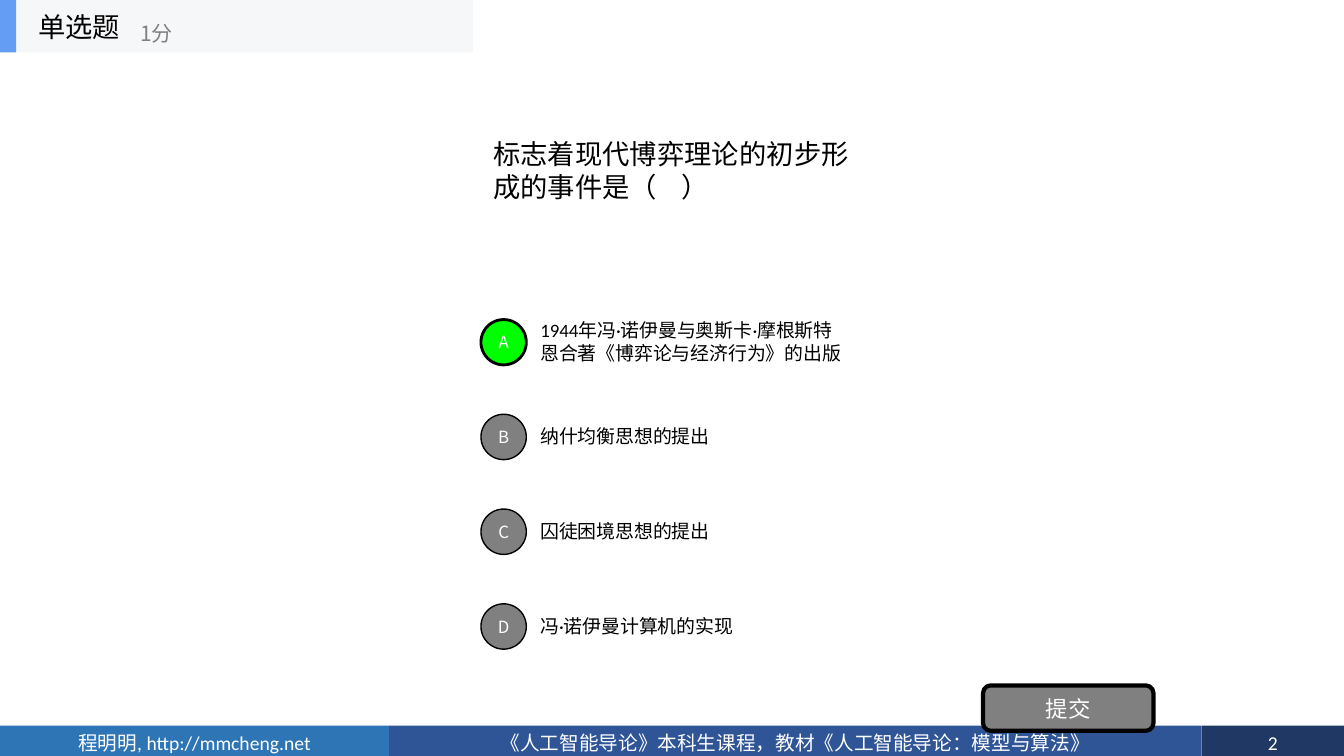
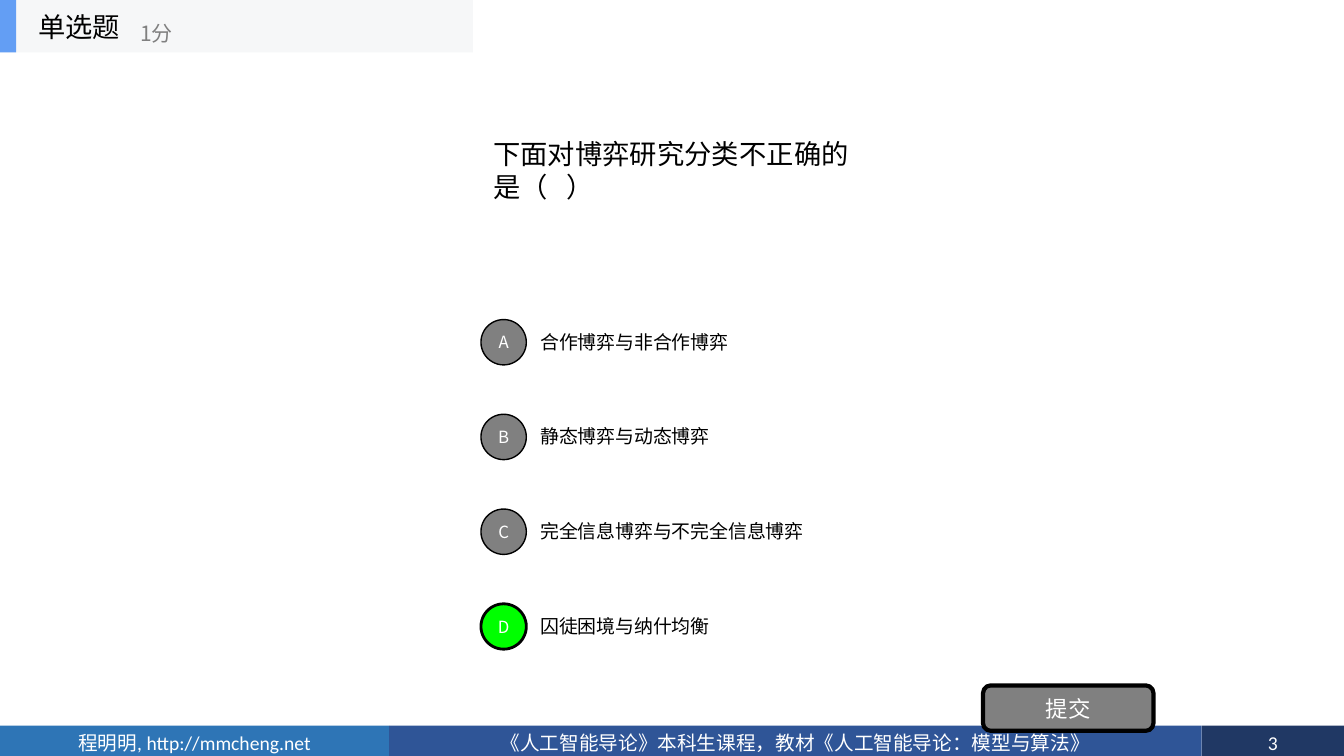
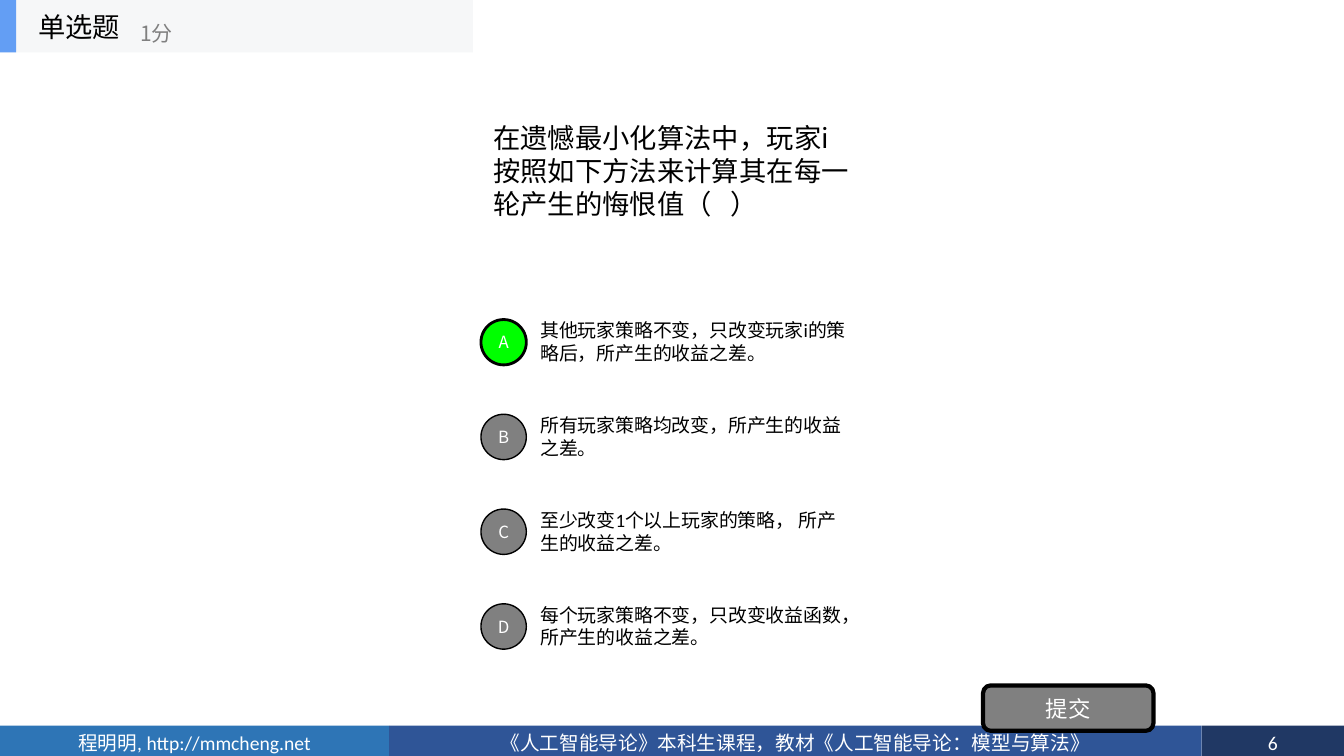
from dataclasses import dataclass

from lxml import etree
from pptx import Presentation
from pptx.dml.color import RGBColor
from pptx.enum.shapes import MSO_SHAPE
from pptx.enum.text import MSO_ANCHOR, MSO_AUTO_SIZE, PP_ALIGN
from pptx.oxml.ns import qn
from pptx.util import Inches, Pt

RECTANGLE = MSO_SHAPE.RECTANGLE
ROUNDED = MSO_SHAPE.ROUNDED_RECTANGLE
OVAL = MSO_SHAPE.OVAL
LEFT, CENTER = PP_ALIGN.LEFT, PP_ALIGN.CENTER
TOP, MIDDLE = MSO_ANCHOR.TOP, MSO_ANCHOR.MIDDLE
NO_AUTOFIT = MSO_AUTO_SIZE.NONE
TITLE_ONLY = 5


@dataclass(frozen=True)
class Theme:
    # Colours
    black: str = "000000"
    white: str = "FFFFFF"
    gray: str = "808080"
    correct: str = "00FF00"
    header: str = "F6F7F8"
    header_accent: str = "639EF4"
    footer_author: str = "2E75B6"
    footer_course: str = "2F5597"
    footer_number: str = "203864"
    # Fonts and type sizes
    latin: str = "Calibri"
    chinese: str = "Noto Sans CJK SC"
    title_size: float = 19.5
    score_size: float = 15
    option_size: float = 13.5
    letter_size: float = 12
    button_size: float = 16
    footer_size: float = 14


THEME = Theme()

# Question, options, letter of the right option, page number
QUESTIONS = [
    ("标志着现代博弈理论的初步形成的事件是（    ）",
     ["1944年冯·诺伊曼与奥斯卡·摩根斯特恩合著《博弈论与经济行为》的出版",
      "纳什均衡思想的提出",
      "囚徒困境思想的提出",
      "冯·诺伊曼计算机的实现"], "A", 2),
    ("下面对博弈研究分类不正确的是（   ）",
     ["合作博弈与非合作博弈",
      "静态博弈与动态博弈",
      "完全信息博弈与不完全信息博弈",
      "囚徒困境与纳什均衡"], "D", 3),
    ("在遗憾最小化算法中，玩家i按照如下方法来计算其在每一轮产生的悔恨值（   ）",
     ["其他玩家策略不变，只改变玩家i的策略后，所产生的收益之差。",
      "所有玩家策略均改变，所产生的收益之差。",
      "至少改变1个以上玩家的策略， 所产生的收益之差。",
      "每个玩家策略不变，只改变收益函数，所产生的收益之差。"], "A", 6),
]


def write_text(shape, text, *, size, color=THEME.black, font=THEME.chinese,
               align=LEFT, anchor=MIDDLE, margin=0.1):
    """Put one formatted paragraph into a shape."""
    frame = shape.text_frame
    frame.word_wrap = True
    frame.auto_size = NO_AUTOFIT
    frame.vertical_anchor = anchor
    frame.margin_left = frame.margin_right = Inches(margin)
    frame.margin_top = frame.margin_bottom = Inches(margin / 2)
    paragraph = frame.paragraphs[0]
    paragraph.alignment = align
    run = paragraph.add_run()
    run.text = text
    run.font.name = font
    run.font.size = Pt(size)
    run.font.color.rgb = RGBColor.from_string(color)
    latin = run.font._element.find(qn("a:latin"))
    east_asian = etree.Element(qn("a:ea"), typeface=THEME.chinese)
    latin.addnext(east_asian)


def add_block(slide, kind, box, fill, *, line_width=0):
    """Add a filled preset shape, outlined in black if a width is given."""
    shape = slide.shapes.add_shape(kind, *map(Inches, box))
    shape.shadow.inherit = False
    shape.fill.solid()
    shape.fill.fore_color.rgb = RGBColor.from_string(fill)
    if line_width:
        shape.line.color.rgb = RGBColor.from_string(THEME.black)
        shape.line.width = Pt(line_width)
    else:
        shape.line.fill.background()
    return shape


def add_label(slide, text, box, **style):
    write_text(slide.shapes.add_textbox(*map(Inches, box)), text, **style)


def add_footer(slide, number):
    bands = [
        (0, 3.86, THEME.footer_author, "程明明, http://mmcheng.net"),
        (3.86, 8.06, THEME.footer_course,
         "《人工智能导论》本科生课程，教材《人工智能导论：模型与算法》"),
        (11.92, 1.41, THEME.footer_number, str(number)),
    ]
    for left, width, fill, text in bands:
        band = add_block(slide, RECTANGLE, (left, 7.2, width, 0.34), fill)
        write_text(band, text, size=THEME.footer_size, color=THEME.white,
                   font=THEME.latin, align=CENTER, anchor=TOP)


def add_header(slide):
    add_block(slide, RECTANGLE, (0, 0, 4.69, 0.52), THEME.header)
    add_block(slide, RECTANGLE, (0, 0, 0.16, 0.52), THEME.header_accent)
    add_label(slide, "单选题", (0.28, 0, 1.56, 0.52), size=THEME.title_size)
    add_label(slide, "1分", (1.29, 0.12, 1.88, 0.42),
              size=THEME.score_size, color=THEME.gray)


def set_title(slide, text):
    title = slide.shapes.title
    title.left, title.top = Inches(4.79), Inches(0.52)
    title.width, title.height = Inches(3.75), Inches(2.34)
    write_text(title, text, size=THEME.title_size)


def add_options(slide, options, answer):
    for index, (letter, text) in enumerate(zip("ABCD", options)):
        offset = 0.94 * index
        add_label(slide, text, (5.26, 3.04 + offset, 3.28, 0.7),
                  size=THEME.option_size, font=THEME.latin)
        is_answer = letter == answer
        circle = add_block(slide, OVAL, (4.77, 3.17 + offset, 0.45, 0.45),
                           THEME.correct if is_answer else THEME.gray,
                           line_width=2 if is_answer else 1)
        write_text(circle, letter, size=THEME.letter_size, color=THEME.white,
                   align=CENTER, margin=0)


def add_submit_button(slide):
    button = add_block(slide, ROUNDED, (9.75, 6.8, 1.69, 0.45), THEME.gray,
                       line_width=3)
    write_text(button, "提交", size=THEME.button_size, color=THEME.white,
               align=CENTER)


def main():
    presentation = Presentation()
    presentation.slide_width = Inches(13.33)
    presentation.slide_height = Inches(7.5)
    for question, options, answer, number in QUESTIONS:
        slide = presentation.slides.add_slide(
            presentation.slide_layouts[TITLE_ONLY])
        add_footer(slide, number)
        set_title(slide, question)
        add_options(slide, options, answer)
        add_submit_button(slide)
        add_header(slide)
    presentation.save("out.pptx")


if __name__ == "__main__":
    main()
